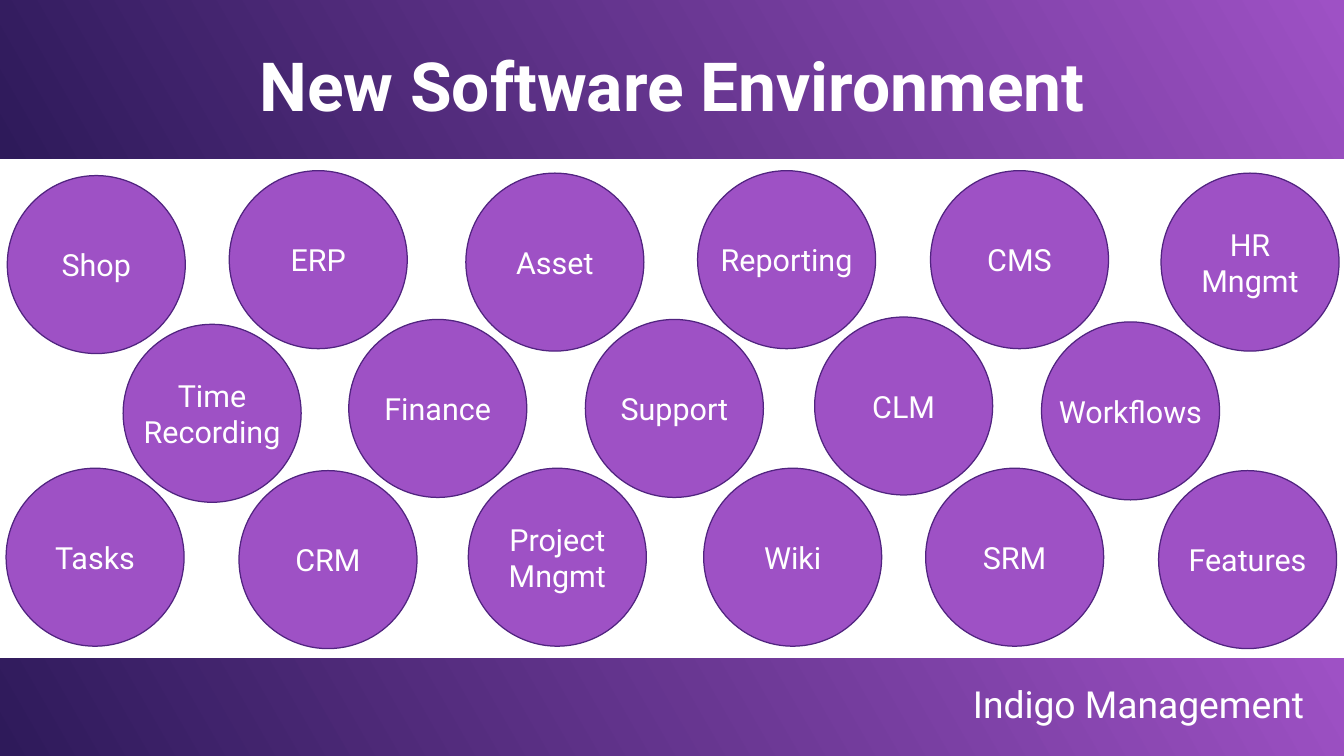
import pptx
import pptx.dml.color
import pptx.enum.shapes
import pptx.enum.text
import pptx.util

Inches = pptx.util.Inches
Pt = pptx.util.Pt
Shapes = pptx.enum.shapes.MSO_SHAPE
Align = pptx.enum.text.PP_ALIGN
Anchor = pptx.enum.text.MSO_ANCHOR

SLIDE_WIDTH, SLIDE_HEIGHT = 11.02, 6.2
DIAMETER = 1.46
COLORS = {
    "orchid": "9E51C5",
    "midnight": "2E1A5A",
    "outline": "512480",
    "text": "FFFFFF",
}
SOFTWARE = [
    ("Shop", 0.06, 1.44),
    ("ERP", 1.88, 1.4),
    ("Asset", 3.82, 1.42),
    ("Reporting", 5.72, 1.4),
    ("CMS", 7.63, 1.4),
    ("HR\nMngmt", 9.52, 1.42),
    ("Time\nRecording", 1.01, 2.66),
    ("Finance", 2.86, 2.62),
    ("Support", 4.8, 2.62),
    ("CLM", 6.68, 2.6),
    ("Workflows", 8.54, 2.64),
    ("Tasks", 0.05, 3.84),
    ("CRM", 1.96, 3.86),
    ("Project\nMngmt", 3.84, 3.84),
    ("Wiki", 5.77, 3.84),
    ("SRM", 7.59, 3.84),
    ("Features", 9.5, 3.86),
]


class SlideBuilder:
    font_name = "Roboto"

    def __init__(self, slide):
        self.slide = slide

    def color(self, name):
        return pptx.dml.color.RGBColor.from_string(COLORS[name])

    def add_text(self, text_frame, text, size, align, bold=False):
        for index, line in enumerate(text.split("\n")):
            paragraph = text_frame.add_paragraph() if index else text_frame.paragraphs[0]
            paragraph.alignment = align
            run = paragraph.add_run()
            run.text = line
            run.font.name = self.font_name
            run.font.size = Pt(size)
            run.font.bold = bold
            run.font.color.rgb = self.color("text")

    def band(self, top, height):
        shape = self.slide.shapes.add_shape(
            Shapes.RECTANGLE, 0, Inches(top), Inches(SLIDE_WIDTH), Inches(height))
        shape.shadow.inherit = False
        shape.line.fill.background()
        shape.fill.gradient()
        shape.fill.gradient_angle = 210
        for stop, name in zip(shape.fill.gradient_stops, ("orchid", "midnight")):
            stop.color.rgb = self.color(name)

    def title(self, text, left, top, width, height):
        title = self.slide.shapes.title
        title.left, title.top = Inches(left), Inches(top)
        title.width, title.height = Inches(width), Inches(height)
        title.element.getparent().append(title.element)
        frame = title.text_frame
        frame.margin_left = frame.margin_right = 0
        frame.margin_top = frame.margin_bottom = 0
        frame.vertical_anchor = Anchor.MIDDLE
        frame.auto_size = pptx.enum.text.MSO_AUTO_SIZE.NONE
        self.add_text(frame, text, 40, Align.CENTER, bold=True)

    def label(self, text, left, top, width, height):
        box = self.slide.shapes.add_textbox(
            Inches(left), Inches(top), Inches(width), Inches(height))
        box.text_frame.word_wrap = True
        self.add_text(box.text_frame, text, 22, Align.LEFT)

    def circle(self, text, left, top):
        shape = self.slide.shapes.add_shape(
            Shapes.OVAL, Inches(left), Inches(top), Inches(DIAMETER), Inches(DIAMETER))
        shape.shadow.inherit = False
        shape.fill.solid()
        shape.fill.fore_color.rgb = self.color("orchid")
        shape.line.color.rgb = self.color("outline")
        shape.line.width = Pt(0)
        shape.text_frame.word_wrap = False
        shape.text_frame.vertical_anchor = Anchor.MIDDLE
        self.add_text(shape.text_frame, text, 18, Align.CENTER)


def main():
    presentation = pptx.Presentation()
    presentation.slide_width = Inches(SLIDE_WIDTH)
    presentation.slide_height = Inches(SLIDE_HEIGHT)
    builder = SlideBuilder(presentation.slides.add_slide(presentation.slide_layouts[5]))
    builder.band(5.4, 0.8)
    builder.band(0, 1.3)
    builder.title("New Software Environment", 0.55, 0.17, 9.92, 1.04)
    builder.label("Indigo Management", 7.88, 5.54, 3.1, 0.5)
    for name, left, top in SOFTWARE:
        builder.circle(name, left, top)
    presentation.save("out.pptx")


if __name__ == "__main__":
    main()
